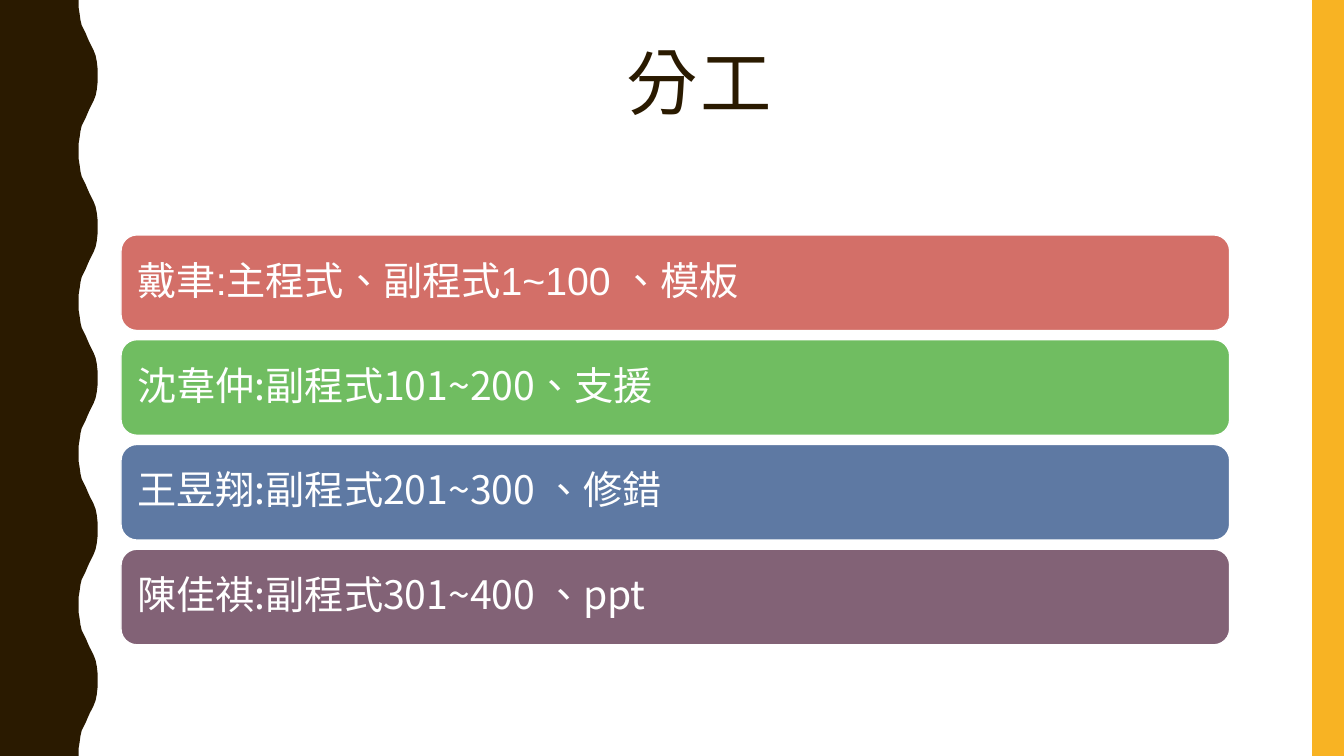
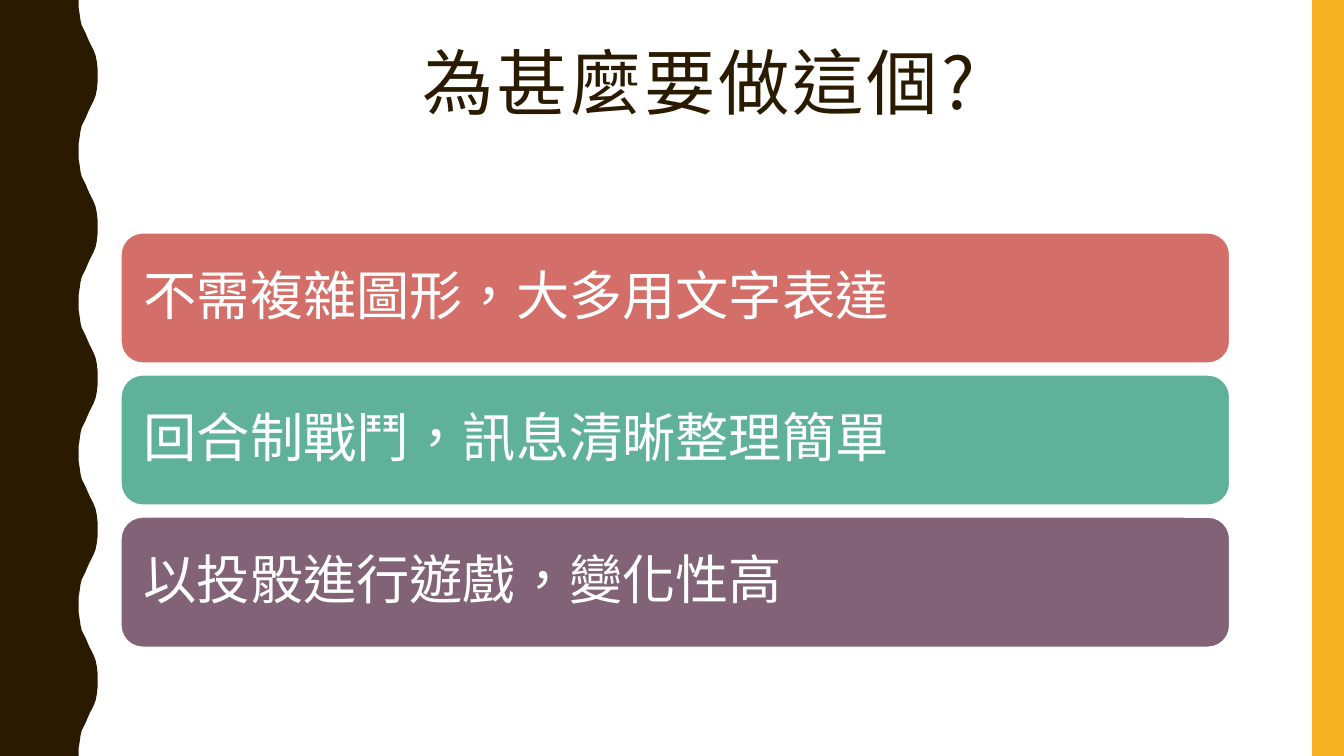
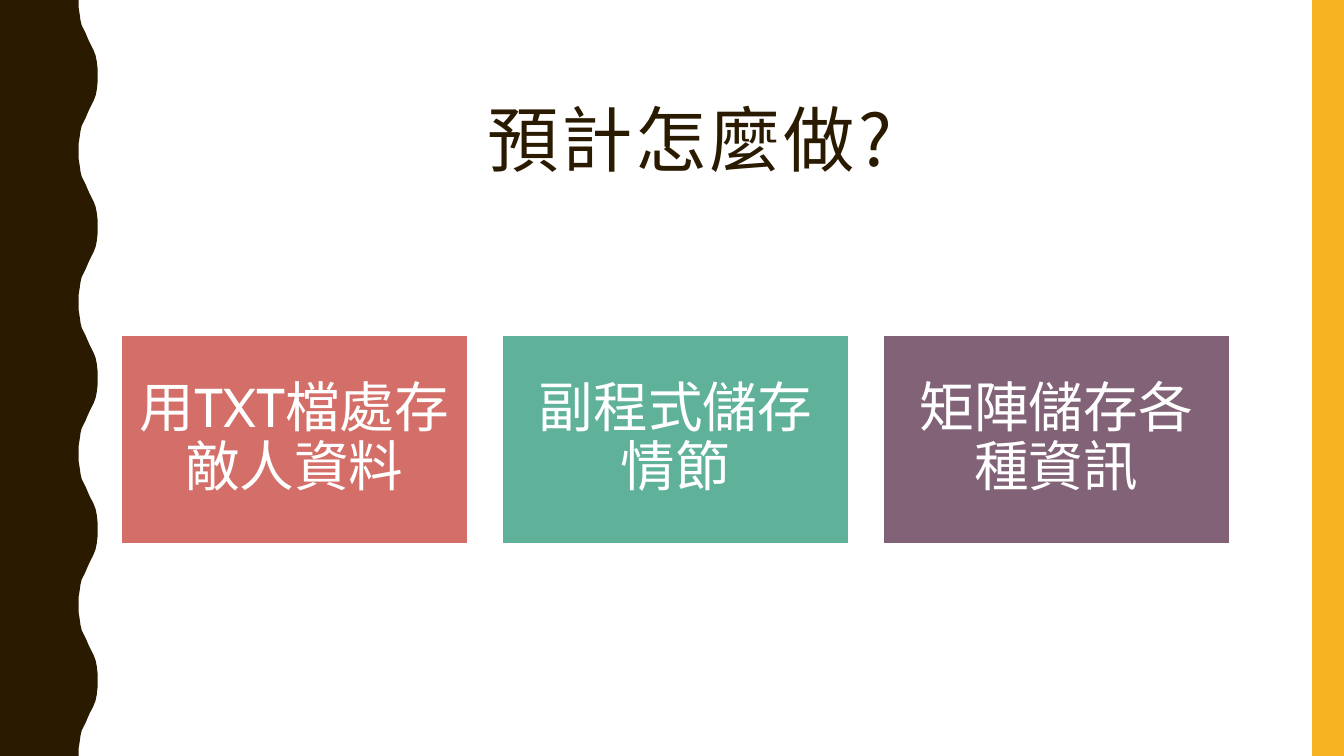
import pptx
import pptx.util
import pptx.dml.color
import pptx.enum.shapes
import pptx.enum.text
from dataclasses import dataclass
from pptx.oxml.ns import qn

Cm = pptx.util.Cm
Shape = pptx.enum.shapes.MSO_SHAPE
Align = pptx.enum.text.PP_ALIGN
Anchor = pptx.enum.text.MSO_ANCHOR


@dataclass(frozen=True)
class Theme:
    dark: str = "2A1A00"
    gold: str = "F8B323"
    white: str = "FFFFFF"
    red: str = "D36F68"
    green: str = "70BD61"
    blue: str = "5E79A3"
    teal: str = "5FB19A"
    plum: str = "826276"
    east_font: str = "Noto Sans CJK SC"
    card_font: str = "Cabin"
    plain_font: str = "Arial"
    title_size: int = 51
    row_size: int = 28
    banner_size: int = 38
    card_size: int = 39


THEME = Theme()
SLIDE_WIDTH, SLIDE_HEIGHT = 33.87, 19.05
CONTENT_LEFT, CONTENT_WIDTH = 3.05, 27.94
WAVE_COUNT = 5
WAVE_HEIGHT = SLIDE_HEIGHT / WAVE_COUNT
WAVE_RISE = [
    (1.98, 0), (1.98, 0.18), (2.01, 0.36), (2.03, 0.51), (2.06, 0.64),
    (2.11, 0.74), (2.16, 0.84), (2.21, 0.96), (2.26, 1.07), (2.31, 1.17),
    (2.36, 1.27), (2.41, 1.4), (2.44, 1.55), (2.46, 1.73), (2.46, 1.9),
]


def rgb(value):
    return pptx.dml.color.RGBColor.from_string(value)


def write_text(frame, text, *, size, color, font, align=Align.LEFT,
               anchor=Anchor.TOP, insets=(0.25, 0.13), tracking=0):
    frame.word_wrap = True
    frame.vertical_anchor = anchor
    frame.margin_left = frame.margin_right = Cm(insets[0])
    frame.margin_top = frame.margin_bottom = Cm(insets[1])
    para = frame.paragraphs[0]
    para.alignment = align
    para.line_spacing = 0.9
    span = para.add_run()
    span.text = text
    span.font.size = pptx.util.Pt(size)
    span.font.name = font
    span.font.color.rgb = rgb(color)
    properties = span.font._element
    properties.set("lang", "zh-TW")
    if tracking:
        properties.set("spc", str(tracking * 100))
    east = properties.makeelement(qn("a:ea"), {"typeface": THEME.east_font})
    properties.find(qn("a:latin")).addnext(east)


class DeckBuilder:
    def __init__(self, theme):
        self.theme = theme
        self.deck = pptx.Presentation()
        self.deck.slide_width = Cm(SLIDE_WIDTH)
        self.deck.slide_height = Cm(SLIDE_HEIGHT)
        self.slide = None

    def start_slide(self, title, left=3.48, top=1.07):
        self.slide = self.deck.slides.add_slide(self.deck.slide_layouts[6])
        self.wave()
        self.block(Shape.RECTANGLE, 33.07, 0, 0.8, SLIDE_HEIGHT, self.theme.gold)
        box = self.slide.shapes.add_textbox(Cm(left), Cm(top), Cm(28.27), Cm(4.14))
        write_text(box.text_frame, title, size=self.theme.title_size,
                   color=self.theme.dark, font=self.theme.east_font,
                   align=Align.CENTER, tracking=2)

    def paint(self, shape, fill, line=None):
        shape.shadow.inherit = False
        shape.fill.solid()
        shape.fill.fore_color.rgb = rgb(fill)
        if line:
            shape.line.color.rgb = rgb(line)
            shape.line.width = pptx.util.Pt(1)
        else:
            shape.line.fill.background()

    def wave(self):
        fall = [(x, WAVE_HEIGHT - y) for x, y in reversed(WAVE_RISE)]
        edge = [(Cm(x), Cm(y + index * WAVE_HEIGHT))
                for index in range(WAVE_COUNT) for x, y in WAVE_RISE + fall]
        outline = self.slide.shapes.build_freeform(0, 0)
        outline.add_line_segments(edge + [(0, Cm(SLIDE_HEIGHT))], close=True)
        self.paint(outline.convert_to_shape(), self.theme.dark)

    def block(self, kind, left, top, width, height, fill, line=None):
        shape = self.slide.shapes.add_shape(
            kind, Cm(left), Cm(top), Cm(width), Cm(height))
        self.paint(shape, fill, line)
        return shape

    def labelled(self, kind, bounds, fill, text, **style):
        shape = self.block(kind, *bounds, fill, self.theme.white)
        write_text(shape.text_frame, text, color=self.theme.white,
                   anchor=Anchor.MIDDLE, **style)

    def rows(self, entries, top, height, gap, size, inset):
        for index, (text, fill, font) in enumerate(entries):
            bounds = (CONTENT_LEFT, top + index * (height + gap),
                      CONTENT_WIDTH, height)
            self.labelled(Shape.ROUNDED_RECTANGLE, bounds, fill, text,
                          size=size, font=font, insets=(inset, inset))

    def cards(self, entries, top, height, gap):
        width = (CONTENT_WIDTH - gap * (len(entries) - 1)) / len(entries)
        for index, (text, fill) in enumerate(entries):
            bounds = (CONTENT_LEFT + index * (width + gap), top, width, height)
            self.labelled(Shape.RECTANGLE, bounds, fill, text,
                          size=self.theme.card_size, font=self.theme.card_font,
                          align=Align.CENTER, insets=(0.41, 0.41))


def main():
    builder = DeckBuilder(THEME)

    builder.start_slide("分工")
    builder.rows([
        ("戴聿:主程式、副程式1~100 、模板", THEME.red, THEME.plain_font),
        ("沈韋仲:副程式101~200、支援", THEME.green, THEME.east_font),
        ("王昱翔:副程式201~300 、修錯", THEME.blue, THEME.east_font),
        ("陳佳祺:副程式301~400 、ppt", THEME.plum, THEME.east_font),
    ], top=5.92, height=2.41, gap=0.23, size=THEME.row_size, inset=0.3)

    builder.start_slide("為甚麼要做這個?")
    builder.rows([
        ("不需複雜圖形，大多用文字表達", THEME.red, THEME.card_font),
        ("回合制戰鬥，訊息清晰整理簡單", THEME.teal, THEME.card_font),
        ("以投骰進行遊戲，變化性高", THEME.plum, THEME.card_font),
    ], top=5.87, height=3.28, gap=0.3, size=THEME.banner_size, inset=0.41)

    builder.start_slide("預計怎麼做?", left=3.25, top=2.51)
    builder.cards([
        ("用TXT檔處存敵人資料", THEME.red),
        ("副程式儲存情節", THEME.teal),
        ("矩陣儲存各種資訊", THEME.plum),
    ], top=8.46, height=5.23, gap=0.86)

    builder.deck.save("out.pptx")


if __name__ == "__main__":
    main()
